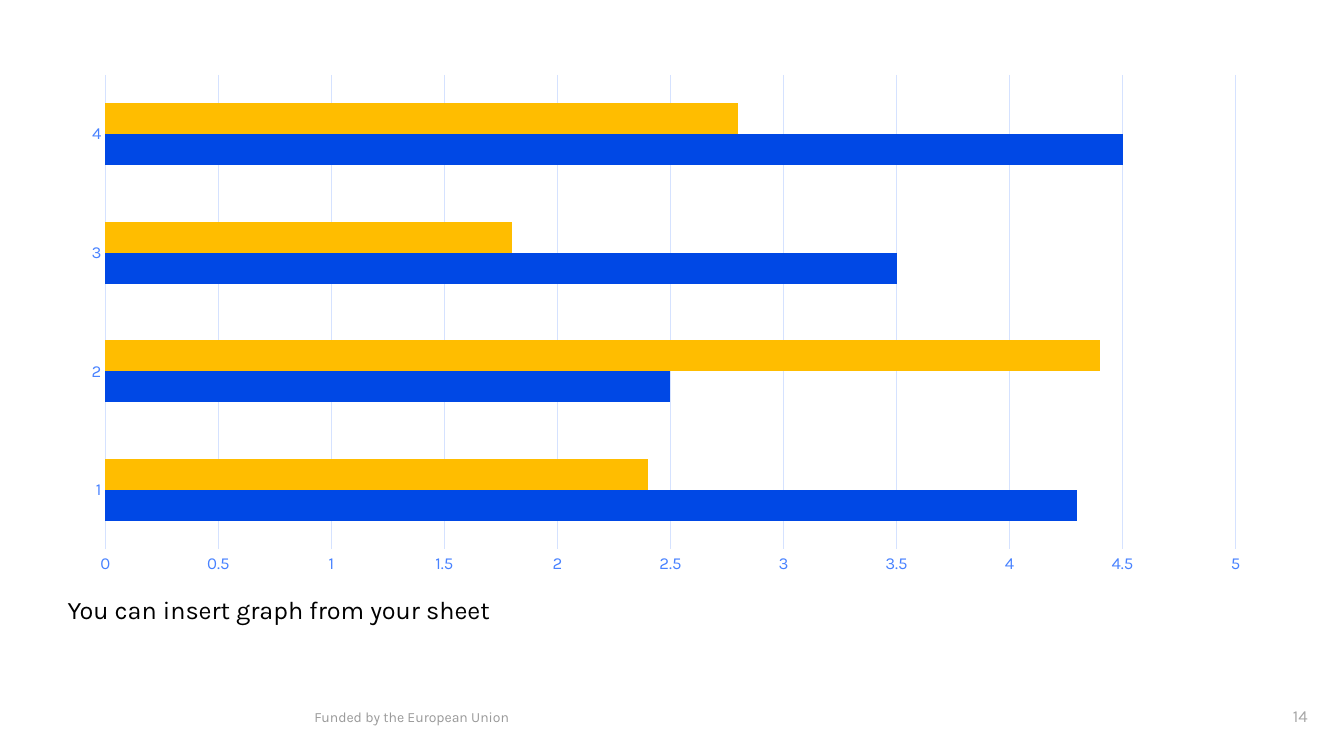
from lxml import etree
from pptx import Presentation
from pptx.chart.data import CategoryChartData
from pptx.dml.color import RGBColor
from pptx.enum.chart import XL_CHART_TYPE, XL_TICK_MARK
from pptx.enum.text import MSO_ANCHOR, PP_ALIGN
from pptx.oxml.ns import qn
from pptx.util import Inches, Pt

BAR = XL_CHART_TYPE.BAR_CLUSTERED
NO_TICK = XL_TICK_MARK.NONE
TOP, MIDDLE = MSO_ANCHOR.TOP, MSO_ANCHOR.MIDDLE
LEFT, RIGHT = PP_ALIGN.LEFT, PP_ALIGN.RIGHT

FONT = "Karla"
COLORS = {
    "blue": "0048E5",
    "yellow": "FFBD00",
    "axis": "4882FF",
    "grid": "D5E2FF",
    "caption": "000000",
    "footer": "999999",
    "number": "A6A6A6",
}
CATEGORIES = ["1", "2", "3", "4"]
SERIES = [
    ("Series 1", [4.3, 2.5, 3.5, 4.5], "blue"),
    ("Series 2", [2.4, 4.4, 1.8, 2.8], "yellow"),
]


def rgb(name):
    """Return the named palette colour."""
    return RGBColor.from_string(COLORS[name])


def style_font(font, size, color):
    """Set the face, size and colour of a font."""
    font.name = FONT
    font.size = Pt(size)
    font.color.rgb = rgb(color)


def style_line(line, color):
    """Give a chart line its colour and width."""
    line.color.rgb = rgb(color)
    line.width = Pt(0.75)


def write_text(sp, text, size, color, align=LEFT, anchor=TOP,
               insets=(0.1, 0.05, 0.1, 0.05)):
    """Write one formatted paragraph in a shape and return it."""
    tf = sp.text_frame
    tf.word_wrap = True
    tf.vertical_anchor = anchor
    (tf.margin_left, tf.margin_top,
     tf.margin_right, tf.margin_bottom) = map(Inches, insets)
    p = tf.paragraphs[0]
    p.alignment = align
    r = p.add_run()
    r.text = text
    style_font(r.font, size, color)
    return p


def add_bar_chart(s, x, y, w, h):
    """Add the clustered bar chart in the given box."""
    data = CategoryChartData()
    data.categories = CATEGORIES
    for name, values, _ in SERIES:
        data.add_series(name, values)
    box = map(Inches, (x, y, w, h))
    chart = s.shapes.add_chart(BAR, *box, data).chart
    chart.has_title = False
    chart.has_legend = False
    style_font(chart.font, 10, "blue")

    plot = chart.plots[0]
    plot.gap_width = 182
    plot.overlap = 0
    plot.vary_by_categories = False
    for series, (_, _, color) in zip(plot.series, SERIES):
        series.format.fill.solid()
        series.format.fill.fore_color.rgb = rgb(color)

    for axis in (chart.category_axis, chart.value_axis):
        axis.major_tick_mark = NO_TICK
        axis.minor_tick_mark = NO_TICK
        style_font(axis.tick_labels.font, 12, "axis")
    chart.category_axis.has_major_gridlines = False
    style_line(chart.category_axis.format.line, "grid")
    value_axis = chart.value_axis
    value_axis.minimum_scale = 0
    value_axis.maximum_scale = 5
    value_axis.major_unit = 0.5
    value_axis.format.line.fill.background()
    style_line(value_axis.major_gridlines.format.line, "grid")


def add_caption(s, x, y, w, h):
    """Place the caption in the body placeholder."""
    sp = s.placeholders[1]
    sp.left, sp.top, sp.width, sp.height = map(Inches, (x, y, w, h))
    p = write_text(sp, "You can insert graph from your sheet", 18, "caption",
                   insets=(0, 0, 0, 0))
    p.line_spacing = 0.9
    p.space_before = Pt(0)
    p.space_after = Pt(8)
    pPr = p._p.get_or_add_pPr()
    pPr.set("marL", "0")
    pPr.set("indent", "0")
    etree.SubElement(pPr, qn("a:buNone"))


def add_footer(s, x, y, w, h):
    """Add the funding line and the slide number in the bottom band."""
    funding = s.shapes.add_textbox(
        *map(Inches, (x, y + 0.24, 5.65, 0.27)))
    write_text(funding, "Funded by the European Union", 10, "footer")
    number = s.shapes.add_textbox(
        *map(Inches, (x + w - 0.75, y, 0.75, h)))
    write_text(number, "14", 12, "number", align=RIGHT, anchor=MIDDLE,
               insets=(0.1, 0.05, 0, 0.08))


def build_chart_slide(prs):
    """Build the slide with a bar chart, caption and footer."""
    s = prs.slides.add_slide(prs.slide_layouts[1])
    title = s.shapes.title._element
    title.getparent().remove(title)
    add_caption(s, 0.67, 5.93, 12, 0.44)
    add_bar_chart(s, 0.67, 0.64, 11.87, 5.15)
    add_footer(s, 3.02, 6.74, 9.95, 0.76)


def main():
    """Create and save the presentation."""
    prs = Presentation()
    prs.slide_width = Inches(13.33)
    prs.slide_height = Inches(7.5)
    build_chart_slide(prs)
    prs.save("out.pptx")


if __name__ == "__main__":
    main()
